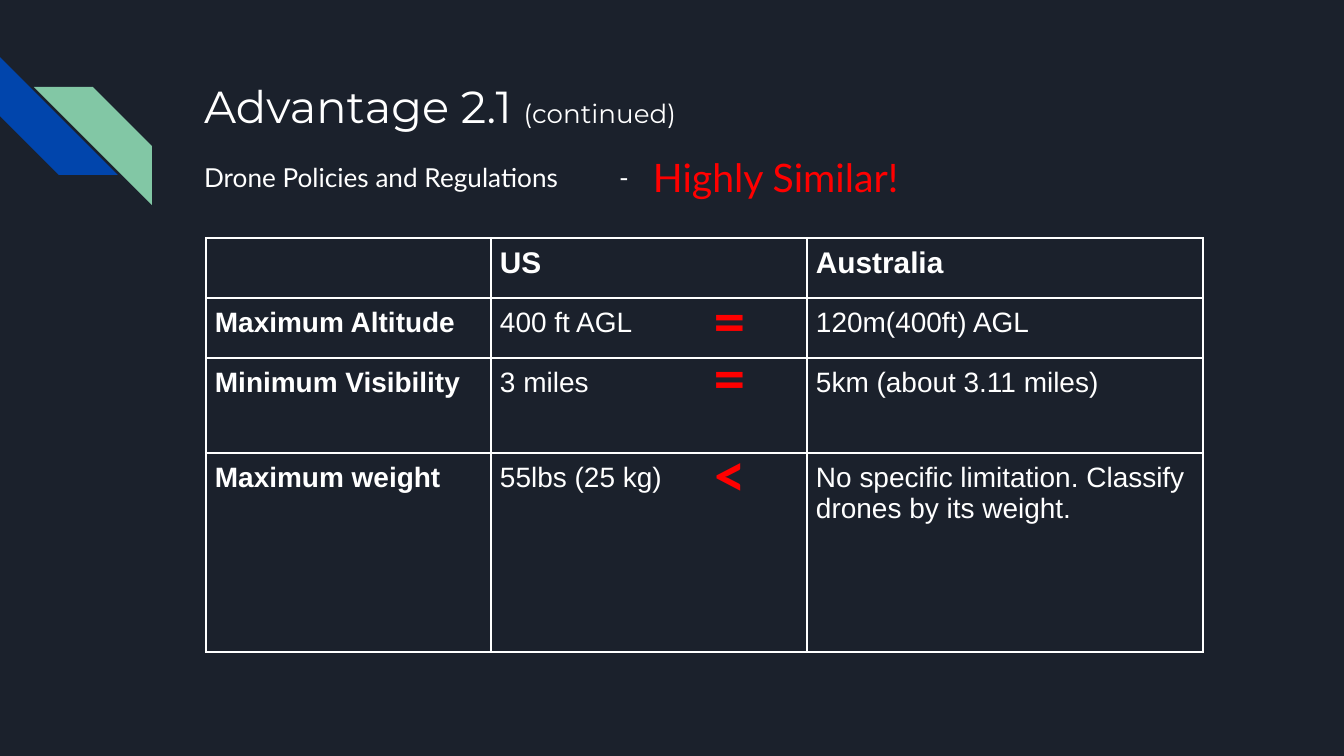
import pptx
import pptx.dml.color
import pptx.enum.shapes
import pptx.enum.text
import pptx.oxml
import pptx.oxml.ns
import pptx.util

RGBColor = pptx.dml.color.RGBColor
NAVY = RGBColor(0x1B, 0x21, 0x2C)
BLUE = RGBColor(0x01, 0x45, 0xAC)
GREEN = RGBColor(0x82, 0xC7, 0xA5)
WHITE = RGBColor(0xFF, 0xFF, 0xFF)
RED = RGBColor(0xFF, 0x00, 0x00)

TITLE = [("Advantage 2.1 ", 24), ("(continued)", 14)]
SUBTITLE = "Drone Policies and Regulations\t-"
VERDICT = "Highly Similar!"
ROWS = [
    ("", "US", "Australia"),
    ("Maximum Altitude", "400 ft AGL", "120m(400ft) AGL"),
    ("Minimum Visibility", "3 miles", "5km (about 3.11 miles)"),
    ("Maximum weight", "55lbs (25 kg)", "No specific limitation. Classify drones by its weight."),
]
COMPARISONS = [("=", 271), ("=", 328), ("<", 425)]  # sign, top

COLUMN_WIDTHS = [285, 316, 396]
ROW_HEIGHTS = [60, 60, 95, 199]
TABLE_LEFT, TABLE_TOP = 206, 238
TEXT_LEFT = 191
SIGN_LEFT = 699
DASH_TAB = 415
STRIPE_SIZE = 118
INSET = 13
CELL_INSET = 9
PX = 914400 / 134.4


def px(length):
    return pptx.util.Emu(round(length * PX))


def style(span, font, size, color, bold=False):
    span.font.name = font
    span.font.size = pptx.util.Pt(size)
    span.font.color.rgb = color
    span.font.bold = bold


def set_margins(target, inset):
    for side in ("left", "top", "right", "bottom"):
        setattr(target, "margin_" + side, px(inset))


def add_label(page, text, left, top, width, height, size, color, bold=False):
    box = page.shapes.add_textbox(px(left), px(top), px(width), px(height))
    frame = box.text_frame
    frame.word_wrap = True
    set_margins(frame, INSET)
    para = frame.paragraphs[0]
    para.text = text
    for span in para.runs:
        style(span, "Lato", size, color, bold)
    return para


def add_stripe(page, left, top, color):
    stripe = page.shapes.add_shape(
        pptx.enum.shapes.MSO_SHAPE.DIAGONAL_STRIPE,
        px(left), px(top), px(STRIPE_SIZE), px(STRIPE_SIZE))
    stripe.shadow.inherit = False
    stripe.fill.solid()
    stripe.fill.fore_color.rgb = color
    stripe.line.fill.background()
    return stripe


def add_borders(cell):
    properties = cell._tc.get_or_add_tcPr()
    for position, side in enumerate(("lnL", "lnR", "lnT", "lnB")):
        properties.insert(position, pptx.oxml.parse_xml(
            f'<a:{side} {pptx.oxml.ns.nsdecls("a")} w="12700"><a:solidFill>'
            f'<a:srgbClr val="{WHITE}"/></a:solidFill></a:{side}>'))


def add_title(page):
    title = page.shapes.title
    title.left, title.top, title.width, title.height = map(px, (TEXT_LEFT, 66, 1036, 95))
    frame = title.text_frame
    set_margins(frame, INSET)
    frame.auto_size = pptx.enum.text.MSO_AUTO_SIZE.NONE
    frame.vertical_anchor = pptx.enum.text.MSO_ANCHOR.TOP
    para = frame.paragraphs[0]
    para.alignment = pptx.enum.text.PP_ALIGN.LEFT
    for text, size in TITLE:
        span = para.add_run()
        span.text = text
        style(span, "Montserrat", size, WHITE)


def add_rules_table(page):
    table = page.shapes.add_table(
        len(ROWS), len(COLUMN_WIDTHS), px(TABLE_LEFT), px(TABLE_TOP),
        px(sum(COLUMN_WIDTHS)), px(sum(ROW_HEIGHTS))).table
    for column, width in zip(table.columns, COLUMN_WIDTHS):
        column.width = px(width)
    for row, height in zip(table.rows, ROW_HEIGHTS):
        row.height = px(height)
    for r, texts in enumerate(ROWS):
        size = 16 if r == 0 else 15
        for c, text in enumerate(texts):
            cell = table.cell(r, c)
            set_margins(cell, CELL_INSET)
            cell.fill.background()
            add_borders(cell)
            para = cell.text_frame.paragraphs[0]
            if text:
                para.text = text
                style(para.runs[0], "Arial", size, WHITE, bold=r == 0 or c == 0)
            else:
                para._p.get_or_add_endParaRPr().set("sz", str(size * 100))


def main():
    deck = pptx.Presentation()
    deck.slide_width, deck.slide_height = px(1344), px(756)
    page = deck.slides.add_slide(deck.slide_layouts[5])
    page.background.fill.solid()
    page.background.fill.fore_color.rgb = NAVY

    add_stripe(page, 0, 57, BLUE).rotation = 270
    add_stripe(page, 34, 87, GREEN)._element.spPr.xfrm.set("flipH", "1")
    add_title(page)

    subtitle = add_label(page, SUBTITLE, TEXT_LEFT, 148, 482, 59, 14, WHITE)
    subtitle._p.get_or_add_pPr().append(pptx.oxml.parse_xml(
        f'<a:tabLst {pptx.oxml.ns.nsdecls("a")}>'
        f'<a:tab pos="{px(DASH_TAB)}" algn="l"/></a:tabLst>'))
    add_rules_table(page)
    add_label(page, VERDICT, 640, 140, 372, 75, 21, RED)
    for sign, top in COMPARISONS:
        add_label(page, sign, SIGN_LEFT, top, 108, 99, 32, RED, bold=True)
    deck.save("out.pptx")


if __name__ == "__main__":
    main()
